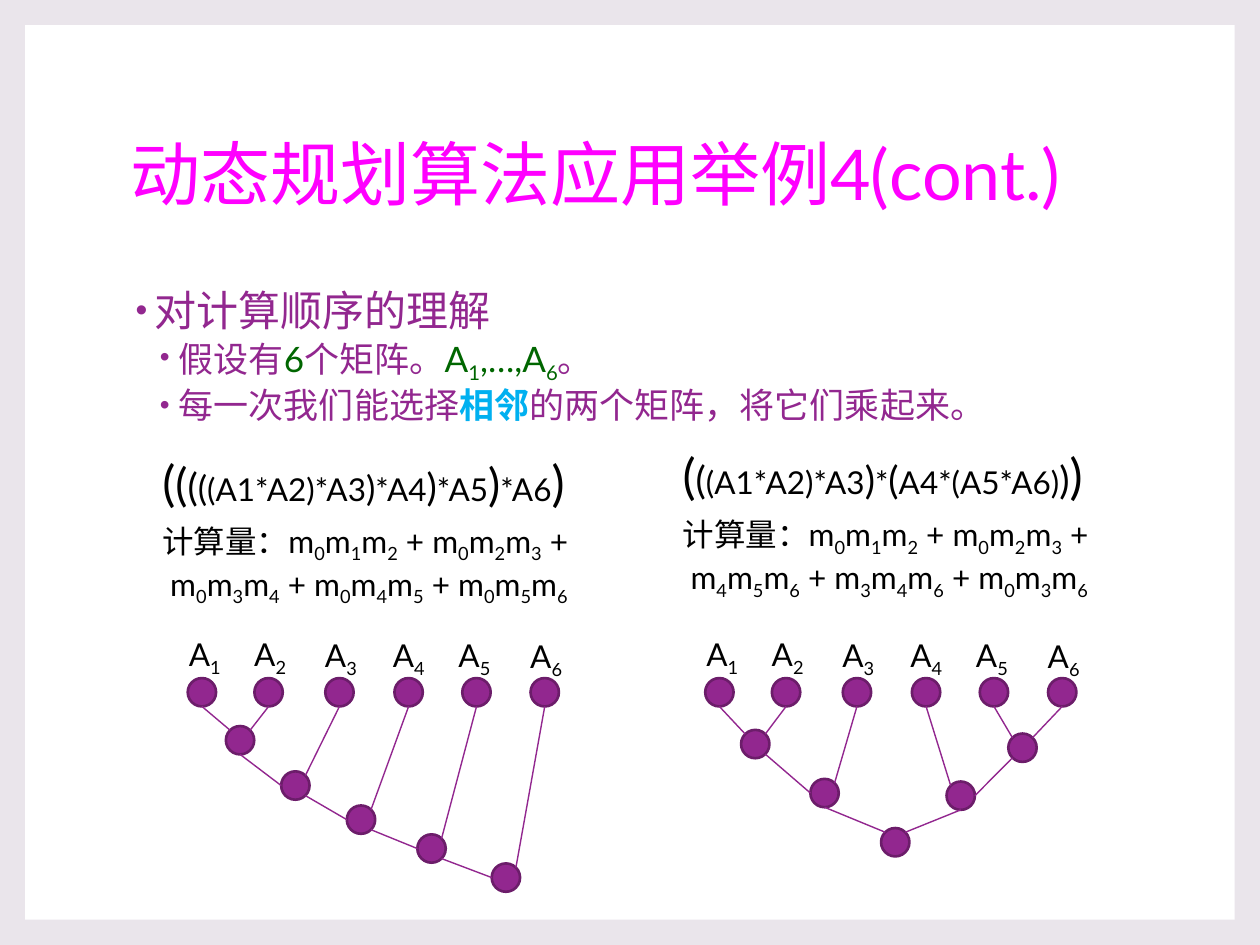
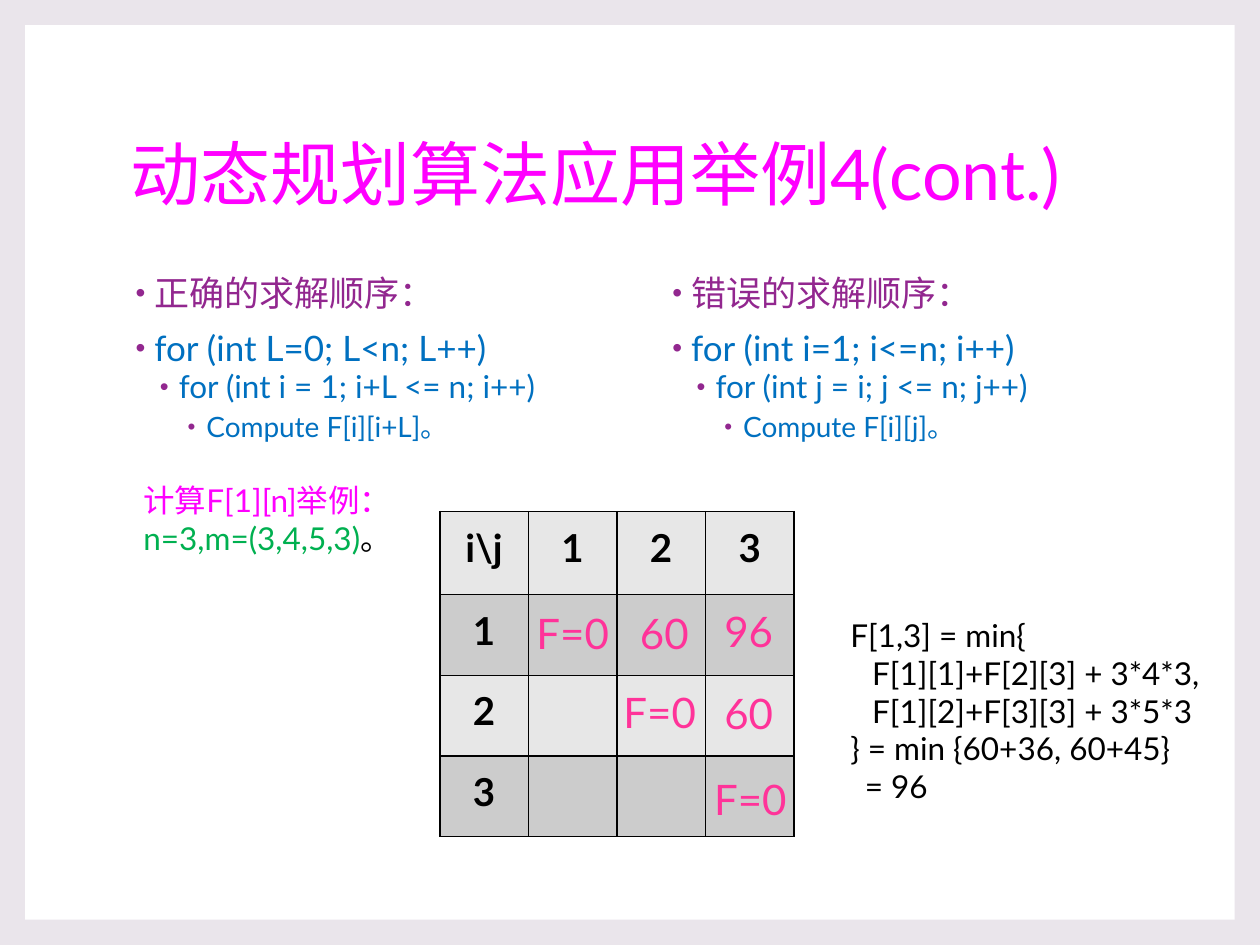
from math import cos, radians, sin

from lxml.etree import SubElement
from pptx import Presentation
from pptx.dml.color import RGBColor
from pptx.enum.shapes import MSO_CONNECTOR, MSO_SHAPE
from pptx.enum.text import MSO_ANCHOR, PP_ALIGN
from pptx.oxml import parse_xml
from pptx.oxml.ns import nsdecls, qn
from pptx.util import Pt


class Theme:
    font = "Lato"
    backdrop, panel, black = "EAE5EB", "FFFFFF", "000000"
    purple, purple_edge = "92278F", "6C1D6A"
    magenta, pink = "FF00FF", "FF3399"
    green, bright_green = "006600", "00B050"
    blue, sky = "0070C0", "00B0F0"
    row_fills = ["E7E7E7", "CCCCCC"]
    title, heading, large, table, body, small, value = 40, 24, 20, 22, 18, 16, 24
    # Bullet level: left margin, space before, space after
    levels = [(13.5, 10, 0), (27.4, 1.5, 3), (43.2, 1.5, 3)]
    hanging = 10.8


def add_box(page, left, top, width, height, anchor=MSO_ANCHOR.TOP):
    box = page.shapes.add_textbox(Pt(left), Pt(top), Pt(width), Pt(height))
    box.text_frame.word_wrap = True
    box.text_frame.vertical_anchor = anchor
    return box.text_frame


def write(frame, text, size=Theme.body, color=Theme.black, bold=False,
          level=None, before=0, indent=0, align=None, line_spacing=None):
    """Add a paragraph of text or (text, format) spans; "_" lowers the next character."""
    first = frame.paragraphs[0]
    para = frame.add_paragraph() if first.runs else first
    para.alignment = align
    para.line_spacing = line_spacing
    para.space_before = Pt(before)
    properties = para._p.get_or_add_pPr()
    if indent:
        properties.set("marL", str(Pt(indent)))
    if level is not None:
        margin, space_before, space_after = Theme.levels[level]
        para.level = level
        para.line_spacing = 0.9
        para.space_before, para.space_after = Pt(space_before), Pt(space_after)
        properties.set("marL", str(Pt(margin)))
        properties.set("indent", str(-Pt(Theme.hanging)))
        bullet_color = SubElement(properties, qn("a:buClr"))
        SubElement(bullet_color, qn("a:srgbClr"), val=Theme.purple)
        SubElement(properties, qn("a:buSzPct"), val="80000")
        SubElement(properties, qn("a:buFont"), typeface="Arial")
        SubElement(properties, qn("a:buChar"), char="•")

    for words, changes in [(text, {})] if isinstance(text, str) else text:
        style = dict(size=size, color=color, bold=bold) | changes
        plain, *lowered = words.split("_")
        pieces = [(plain, False)]
        for part in lowered:
            pieces += [(part[0], True), (part[1:], False)]
        for piece, is_lowered in pieces:
            if not piece:
                continue
            span = para.add_run()
            span.text = piece
            span.font.name = Theme.font
            span.font.size = Pt(style["size"])
            span.font.bold = style["bold"]
            span.font.color.rgb = RGBColor.from_string(style["color"])
            if is_lowered:
                span.font._element.set("baseline", "-25000")


deck = Presentation()
deck.slide_width, deck.slide_height = Pt(720), Pt(540)

# Shared backdrop, white panel and title
pages = []
for _ in range(2):
    page = deck.slides.add_slide(deck.slide_layouts[6])
    page.background.fill.solid()
    page.background.fill.fore_color.rgb = RGBColor.from_string(Theme.backdrop)
    panel = page.shapes.add_shape(MSO_SHAPE.RECTANGLE, Pt(14.4), Pt(14.4), Pt(691.2), Pt(511.2))
    panel.shadow.inherit = False
    panel.fill.solid()
    panel.fill.fore_color.rgb = RGBColor.from_string(Theme.panel)
    panel.line.fill.background()
    write(add_box(page, 67.7, 48.2, 583.2, 106.6, MSO_ANCHOR.MIDDLE),
          "动态规划算法应用举例4(cont.)", size=Theme.title, color=Theme.magenta, line_spacing=0.9)
    pages.append(page)
order_page, table_page = pages

# Slide 1: explanation
frame = add_box(order_page, 67.7, 162, 583.2, 116.6)
green = dict(color=Theme.green)
write(frame, "对计算顺序的理解", size=Theme.heading, color=Theme.purple, level=0)
write(frame, [("假设有", {}), ("6", green), ("个矩阵。", {}), ("A_1,…,A_6", green), ("。", {})],
      size=Theme.large, color=Theme.purple, level=1)
write(frame, [("每一次我们能选择", {}), ("相邻", dict(color=Theme.sky, bold=True)),
              ("的两个矩阵，将它们乘起来。", {})],
      size=Theme.large, color=Theme.purple, level=1)

# Slide 1: the two bracketings with their costs
bracketings = [
    (85.7, 254.9,
     [("(", 28), ("(", 26), ("(", 22), ("(", 20), ("(A1*A2)*A3", 18), (")", 20), ("*A4", 18),
      (")", 22), ("*A5", 18), (")", 26), ("*A6", 18), (")", 28)],
     "计算量：m_0m_1m_2 + m_0m_2m_3 +", "m_0m_3m_4 + m_0m_4m_5 + m_0m_5m_6"),
    (383, 251.3,
     [("(", 28), ("(", 22), ("(A1*A2)*A3", 18), (")", 22), ("*", 18), ("(", 22),
      ("A4*(A5*A6)", 18), (")", 22), (")", 28)],
     "计算量：m_0m_1m_2 + m_0m_2m_3 +", "m_4m_5m_6 + m_3m_4m_6 + m_0m_3m_6"),
]
for left, top, formula, cost_start, cost_end in bracketings:
    frame = add_box(order_page, left, top, 277.2, 90.7)
    write(frame, [(words, dict(size=size)) for words, size in formula])
    write(frame, cost_start, before=6)
    write(frame, cost_end, indent=4.5)

# Slide 1: multiplication trees, matrices 1-6 above products a-e
radius = 8.1
leaf_y = 395.6
leaf_xs = [115.4, 153.5, 194, 233.5, 272.3, 311.3]
label_spots = [(100.8, 359.3), (138.2, 359.3), (178.6, 360), (217.4, 360), (254.9, 360), (295.9, 360.7)]
angles = {side: 45 * step for step, side in enumerate(["E", "SE", "S", "SW", "W", "NW", "N", "NE"])}
# Each edge runs from a node and its compass side to another node and side
trees = [
    (0, dict(a=(137.2, 423), b=(168.8, 448.9), c=(206.3, 468.4), d=(246.6, 484.9), e=(289.1, 501.5)),
     ["1S aNW", "2S aNE", "3S bNE", "aS bW", "bSE cW", "cSE dW", "dSE eW", "4S cNE", "5S dNE", "6S eNE"]),
    (295.7, dict(a=(135.9, 425.2), b=(175.5, 453.2), c=(288.6, 427.3), d=(253.3, 454.7), e=(215.9, 481.3)),
     ["1S aNW", "2S aNE", "3S bNE", "aSE bW", "6S cNE", "5S cNW", "4S dNW", "dE cSW", "bS eNW", "eNE dS"]),
]
for shift, products, edges in trees:
    leaves = {str(number): (x, leaf_y) for number, x in enumerate(leaf_xs, 1)}
    nodes = {name: (x + shift, y) for name, (x, y) in (leaves | products).items()}
    for x, y in nodes.values():
        node = order_page.shapes.add_shape(
            MSO_SHAPE.OVAL, Pt(x - radius), Pt(y - radius), Pt(2 * radius), Pt(2 * radius))
        node.shadow.inherit = False
        node.fill.solid()
        node.fill.fore_color.rgb = RGBColor.from_string(Theme.purple)
        node.line.color.rgb = RGBColor.from_string(Theme.purple_edge)
        node.line.width = Pt(1.5)
    for number, (left, top) in enumerate(label_spots, 1):
        write(add_box(order_page, left + shift, top, 37.4, 28.8), f"A_{number}")
    for edge in edges:
        ends = []
        for end in edge.split():
            x, y = nodes[end[0]]
            angle = radians(angles[end[1:]])
            ends += [Pt(x + radius * cos(angle)), Pt(y + radius * sin(angle))]
        branch = order_page.shapes.add_connector(MSO_CONNECTOR.STRAIGHT, *ends)
        branch.line.color.rgb = RGBColor.from_string(Theme.purple)
        branch.line.width = Pt(0.79)
        SubElement(branch._element.spPr, qn("a:effectLst"))

# Slide 2: right and wrong loop orders
loops = [
    (67.7, "正确的求解顺序：", "for (int L=0; L<n; L++)", "for (int i = 1; i+L <= n; i++)", "Compute F[i][i+L]。"),
    (374.4, "错误的求解顺序：", "for (int i=1; i<=n; i++)", "for (int j = i; j <= n; j++)", "Compute F[i][j]。"),
]
for left, heading, outer_loop, inner_loop, step in loops:
    frame = add_box(table_page, left, 154.1, 257, 118.8)
    write(frame, heading, size=Theme.large, color=Theme.purple, level=0)
    write(frame, outer_loop, size=Theme.large, color=Theme.blue, level=0)
    write(frame, inner_loop, size=Theme.body, color=Theme.blue, level=1)
    write(frame, step, size=Theme.small, color=Theme.blue, level=2)

# Slide 2: example statement
frame = add_box(table_page, 74.9, 271.4, 168.5, 51.1)
write(frame, "计算F[1][n]举例：", color=Theme.magenta)
write(frame, [("n=3,m=(3,4,5,3)", dict(color=Theme.bright_green)), ("。", {})])

# Slide 2: table of subproblems
labels = ["i\\j", "1", "2", "3"]
grid = table_page.shapes.add_table(4, 4, Pt(251.3), Pt(292.3), Pt(202.4), Pt(185.8)).table
grid.first_row = grid.horz_banding = False
for column in grid.columns:
    column.width = Pt(50.6)
for row_index, row in enumerate(grid.rows):
    row.height = Pt(46.1 if row_index else 47.5)
    for column_index, cell in enumerate(row.cells):
        cell.fill.solid()
        cell.fill.fore_color.rgb = RGBColor.from_string(Theme.row_fills[row_index % 2])
        if row_index == 0 or column_index == 0:
            cell.margin_left = cell.margin_right = 0
            cell.margin_top = cell.margin_bottom = Pt(7.2)
            write(cell.text_frame, labels[row_index + column_index],
                  size=Theme.table, bold=True, align=PP_ALIGN.CENTER)
        for position, side in enumerate(["lnL", "lnR", "lnT", "lnB"]):
            cell._tc.get_or_add_tcPr().insert(position, parse_xml(
                f'<a:{side} {nsdecls("a")} w="{Pt(1)}"><a:solidFill>'
                f'<a:srgbClr val="{Theme.black}"/></a:solidFill></a:{side}>'))

# Slide 2: values laid over the table
values = [("F=0", 299.5, 343.4), ("F=0", 349.2, 388.8), ("F=0", 401, 438.5),
          ("60", 358.6, 343.4), ("60", 406.8, 389.5), ("96", 406.8, 342.7)]
for value, left, top in values:
    width = 57.6 if value == "F=0" else 42.5
    write(add_box(table_page, left, top, width, 36), value, size=Theme.value, color=Theme.pink)

# Slide 2: worked minimum
frame = add_box(table_page, 478.8, 348.5, 222.5, 116.6)
for line, indent in [("F[1,3] = min{", 0), ("F[1][1]+F[2][3] + 3*4*3,", 12.5),
                     ("F[1][2]+F[3][3] + 3*5*3", 12.5), ("} = min {60+36, 60+45}", 0), ("= 96", 8.3)]:
    write(frame, line, indent=indent)

deck.save("out.pptx")
